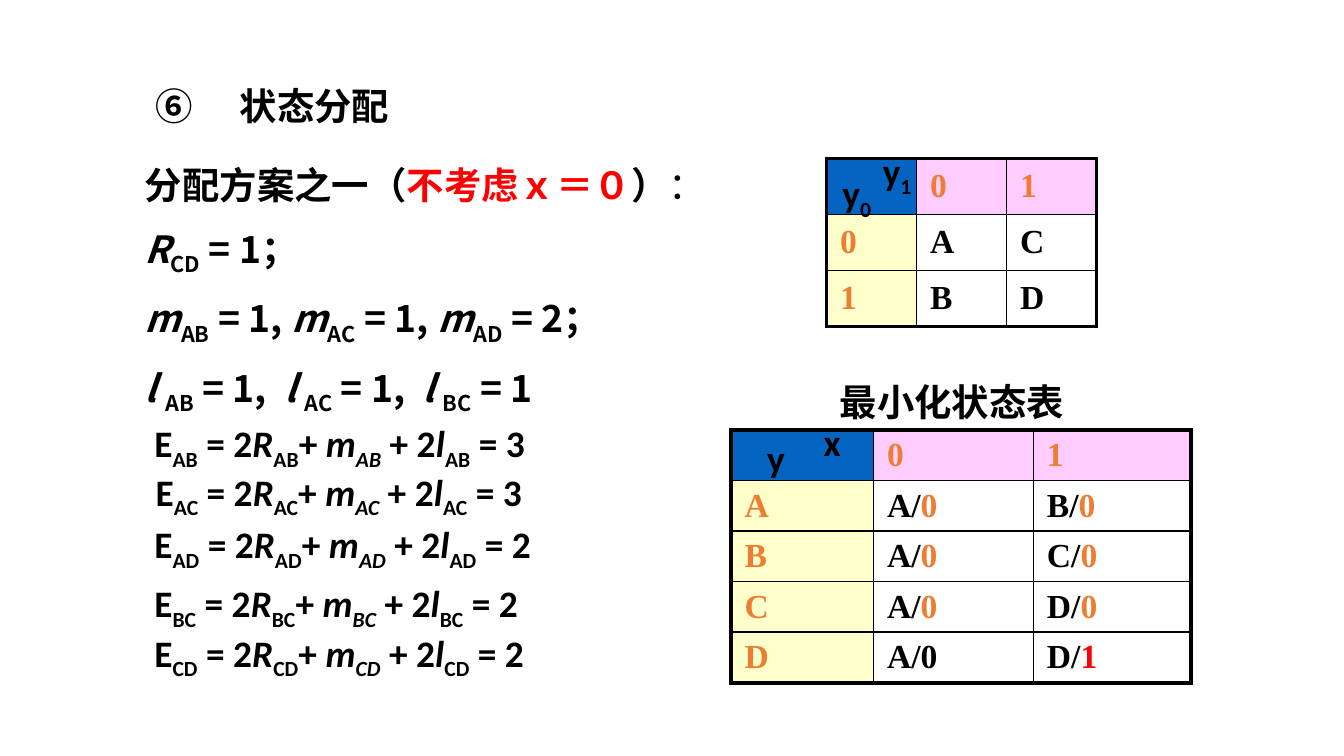
from lxml.etree import SubElement
from pptx import Presentation
from pptx.dml.color import RGBColor
from pptx.enum.text import MSO_ANCHOR as Anchor, PP_ALIGN as Align
from pptx.oxml.ns import qn
from pptx.util import Inches, Pt

BLACK = RGBColor(0x00, 0x00, 0x00)
WHITE = RGBColor(0xFF, 0xFF, 0xFF)
RED = RGBColor(0xFF, 0x00, 0x00)
ORANGE = RGBColor(0xED, 0x7D, 0x31)
BLUE = RGBColor(0x05, 0x63, 0xC1)
PINK = RGBColor(0xFF, 0xCC, 0xFF)
CREAM = RGBColor(0xFF, 0xFF, 0xCC)
CJK, LATIN, SERIF = "Noto Sans CJK JP", "Calibri", "Times New Roman"

# Run styles
PLAIN = {}
ITALIC = {"italic": True}
SUB = {"sub": True}
ITALIC_SUB = {"italic": True, "sub": True}
RED_TEXT = {"color": RED}
ORANGE_TEXT = {"color": ORANGE}


def terms(symbol, values, joint, end=""):
    """Runs for a list such as m_AB = 1, m_AC = 1."""
    runs = []
    for number, (pair, value) in enumerate(values):
        tail = joint if number < len(values) - 1 else end
        runs += [(symbol, ITALIC), (pair, SUB), (f" = {value}{tail}", PLAIN)]
    return runs


def score(pair, value):
    """Runs for E = 2R + m + 2l of one pair of states."""
    return [("E", PLAIN), (pair, SUB), (" = 2", PLAIN), ("R", ITALIC), (pair, SUB),
            ("+ ", PLAIN), ("m", ITALIC), (pair, ITALIC_SUB), (" + 2", PLAIN),
            ("l", ITALIC), (pair, SUB), (f" = {value}", PLAIN)]


def next_state(state, output, style=ORANGE_TEXT):
    return [(f"{state}/", PLAIN), (output, style)]


# Content
TITLE = " 状态分配"
SCHEME = [
    [("分配方案之一（", PLAIN), ("不考虑ｘ＝０", RED_TEXT), ("）", PLAIN), ("：", {"bold": False})],
    terms("R", [("CD", 1)], "", "；"),
    terms("m", [("AB", 1), ("AC", 1), ("AD", 2)], ", ", "；"),
    terms("l ", [("AB", 1), ("AC", 1), ("BC", 1)], ",  "),
]
SCORES = [  # pair, value, left, top
    ("AB", 3, 1.05, 3.08),
    ("AC", 3, 1.06, 3.44),
    ("AD", 2, 1.05, 3.83),
    ("BC", 2, 1.05, 4.27),
    ("CD", 2, 1.05, 4.64),
]
STATE_TABLE = [
    ["", "0", "1"],
    ["A", next_state("A", "0"), next_state("B", "0")],
    ["B", next_state("A", "0"), next_state("C", "0")],
    ["C", next_state("A", "0"), next_state("D", "0")],
    ["D", "A/0", next_state("D", "1", RED_TEXT)],
]
CODE_TABLE = [["", "0", "1"], ["0", "A", "C"], ["1", "B", "D"]]
LABELS = [  # runs, font, left, top, width, height
    ([("最小化状态表", PLAIN)], CJK, 6.15, 2.77, 2.65, 0.43),
    ([("x", PLAIN)], LATIN, 6.03, 3.07, 0.67, 0.44),
    ([("y", PLAIN)], LATIN, 5.61, 3.19, 0.67, 0.44),
    ([("y", PLAIN), ("1", SUB)], LATIN, 6.47, 1.05, 0.5, 0.44),
    ([("y", PLAIN), ("0", SUB)], LATIN, 6.17, 1.22, 0.67, 0.44),
]


def write(para, runs, font, size=20, color=BLACK):
    para.font.name, para.font.size, para.font.bold = font, Pt(size), True
    para.font.color.rgb = color
    if font == CJK:
        defaults = para._p.pPr.find(qn("a:defRPr"))
        SubElement(defaults, qn("a:ea"), typeface=CJK)
    for text, style in runs:
        span = para.add_run()
        span.text = text
        if "italic" in style:
            span.font.italic = True
        if "bold" in style:
            span.font.bold = style["bold"]
        if "color" in style:
            span.font.color.rgb = style["color"]
        if "sub" in style:
            span.font._element.set("baseline", "-25000")


def add_text(page, paragraphs, font, left, top, width, height):
    box = page.shapes.add_textbox(Inches(left), Inches(top), Inches(width), Inches(height))
    frame = box.text_frame
    frame.word_wrap = True
    for number, runs in enumerate(paragraphs):
        para = frame.add_paragraph() if number else frame.paragraphs[0]
        if number:
            para.space_before = Pt(10)
        write(para, runs, font)


def add_border(cell, side, width):
    line = SubElement(cell._tc.get_or_add_tcPr(), qn(f"a:ln{side}"), w=str(Pt(width)))
    fill = SubElement(line, qn("a:solidFill"))
    SubElement(fill, qn("a:srgbClr"), val=str(BLACK))


def add_grid(page, rows, left, top, widths, height):
    last_row, last_col = len(rows) - 1, len(widths) - 1
    table = page.shapes.add_table(
        len(rows), len(widths), Inches(left), Inches(top),
        Inches(sum(widths)), Inches(height)).table
    for column, width in zip(table.columns, widths):
        column.width = Inches(width)
    for r, row in enumerate(rows):
        table.rows[r].height = Inches(height / len(rows))
        for c, content in enumerate(row):
            cell = table.cell(r, c)
            # Heavy frame, thin inner lines
            edges = {"L": c == 0, "R": c == last_col, "T": r == 0, "B": r == last_row}
            for side, outer in edges.items():
                add_border(cell, side, 2.25 if outer else 1)
            if r == 0:
                fill = PINK if c else BLUE
            else:
                fill = WHITE if c else CREAM
            cell.fill.solid()
            cell.fill.fore_color.rgb = fill
            cell.vertical_anchor = Anchor.MIDDLE
            cell.margin_left = cell.margin_right = Inches(0.1)
            cell.margin_top = cell.margin_bottom = Inches(0.04)
            if isinstance(content, str):
                content = [(content, PLAIN)] if content else []
            write(cell.text_frame.paragraphs[0], content, SERIF, 18,
                  BLACK if r and c else ORANGE)


# Widescreen page, 16 to 9
deck = Presentation()
deck.slide_width = Inches(10)
deck.slide_height = Inches(10 * 9 / 16)
page = deck.slides.add_slide(deck.slide_layouts[5])

# Numbered title
title = page.shapes.title
title.left, title.top = Inches(1.06), Inches(0.61)
title.width, title.height = Inches(3.25), Inches(0.55)
title.text_frame.vertical_anchor = Anchor.TOP
heading = title.text_frame.paragraphs[0]
heading.alignment = Align.LEFT
heading.line_spacing = 0.9
props = heading._p.get_or_add_pPr()
props.set("marL", str(Inches(0.56)))
props.set("indent", str(Inches(-0.56)))
SubElement(props, qn("a:buFont"), typeface=CJK)
SubElement(props, qn("a:buAutoNum"), type="circleNumDbPlain", startAt="6")
write(heading, [(TITLE, PLAIN)], CJK)

# Tables
add_grid(page, STATE_TABLE, 5.44, 3.2, [1.06, 1.19, 1.17], 1.88)
add_grid(page, CODE_TABLE, 6.15, 1.18, [0.67] * 3, 1.25)

# Assignment scheme and pair scores
add_text(page, SCHEME, CJK, 0.98, 1.16, 4.75, 1.95)
for pair, value, left, top in SCORES:
    add_text(page, [score(pair, value)], LATIN, left, top, 4.67, 0.49)

# Table caption and axis labels
for runs, font, *place in LABELS:
    add_text(page, [runs], font, *place)

deck.save("out.pptx")
